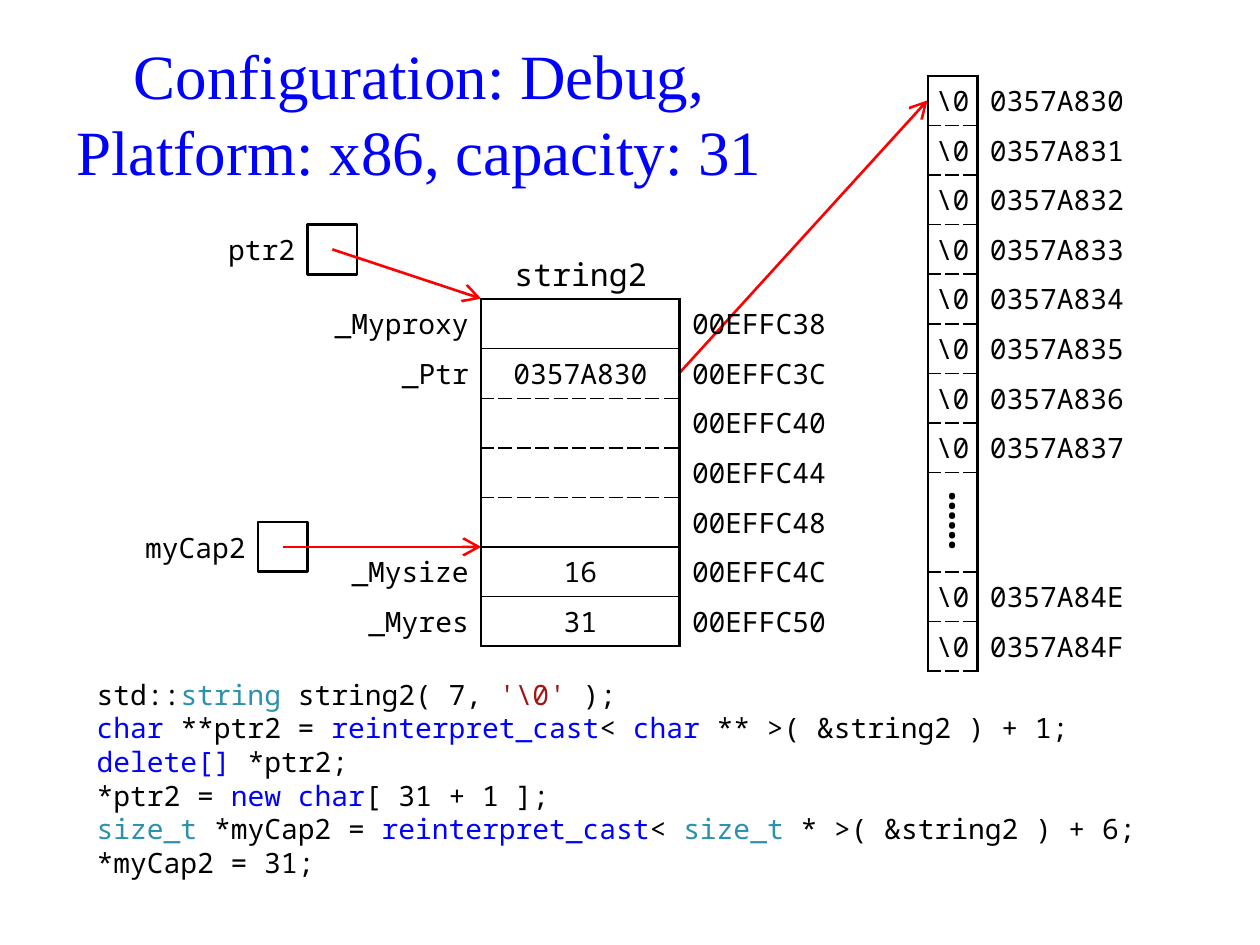
from lxml.etree import SubElement
from pptx import Presentation
from pptx.dml.color import RGBColor
from pptx.enum.shapes import MSO_CONNECTOR, MSO_SHAPE
from pptx.enum.text import MSO_ANCHOR, MSO_AUTO_SIZE, PP_ALIGN
from pptx.oxml import parse_xml
from pptx.oxml.ns import nsdecls, qn
from pptx.util import Pt

BLACK = RGBColor(0x00, 0x00, 0x00)
BLUE = RGBColor(0x00, 0x00, 0xFF)
TEAL = RGBColor(0x2B, 0x91, 0xAF)
MAROON = RGBColor(0xA3, 0x15, 0x15)
RED = RGBColor(0xFF, 0x00, 0x00)
MONO, SERIF = "Noto Sans Mono", "Times New Roman"
LEFT, CENTER, RIGHT = PP_ALIGN.LEFT, PP_ALIGN.CENTER, PP_ALIGN.RIGHT
NO_STYLE = "{2D5ABB26-0587-4C30-8999-92F81FD0307C}"
U = 28.35  # one memory cell, in points
THICK, THIN, DASH = (1.5, "solid"), (1, "solid"), (1, "sysDash")


def style(p, align, size=16, font=MONO, color=BLACK):
    p.alignment = align
    p.font.size, p.font.name = Pt(size), font
    p.font.color.rgb = color


def add_text(s, x, y, w, h, text, align, size=16):
    tf = s.shapes.add_textbox(Pt(x), Pt(y), Pt(w), Pt(h)).text_frame
    tf.word_wrap = True
    tf.vertical_anchor = MSO_ANCHOR.MIDDLE
    tf.text = text
    style(tf.paragraphs[0], align, size)
    return tf


prs = Presentation()
prs.slide_width, prs.slide_height = Pt(720), Pt(540)
s = prs.slides.add_slide(prs.slide_layouts[5])

# Title
title = s.shapes.title
title.left, title.top, title.width, title.height = Pt(34), Pt(29), Pt(411), Pt(70.5)
tf = title.text_frame
tf.text = "Configuration: Debug,\vPlatform: x86, capacity: 31"
tf.auto_size = MSO_AUTO_SIZE.NONE
tf.vertical_anchor = MSO_ANCHOR.MIDDLE
style(tf.paragraphs[0], CENTER, 36, SERIF, BLUE)

# Code listing
code = [
    [("std::", BLACK), ("string ", TEAL), ("string2( 7, ", BLACK), (r"'\0'", MAROON), (" );", BLACK)],
    [("char ", BLUE), ("**ptr2 = ", BLACK), ("reinterpret_cast", BLUE), ("< ", BLACK),
     ("char", BLUE), (" ** >( &string2 ) + 1;", BLACK)],
    [("delete[]", BLUE), (" *ptr2;", BLACK)],
    [("*ptr2 = ", BLACK), ("new char", BLUE), ("[ 31 + 1 ];", BLACK)],
    [("size_t ", TEAL), ("*myCap2 = ", BLACK), ("reinterpret_cast", BLUE), ("< ", BLACK),
     ("size_t", TEAL), (" * >( &string2 ) + 6;", BLACK)],
    [("*myCap2 = 31;", BLACK)],
]
tf = add_text(s, 48.2, 383.5, 624, 127.5, "", LEFT)
tf.vertical_anchor = MSO_ANCHOR.TOP
for i, line in enumerate(code):
    p = tf.add_paragraph() if i else tf.paragraphs[0]
    style(p, LEFT)
    p.line_spacing = Pt(19.2)
    for text, color in line:
        r = p.add_run()
        r.text = text
        r.font.color.rgb = color

# Pointer variables
for name, x, y, w in [("ptr2", 175.75, 128.4, 57), ("myCap2", 147.4, 298.4, 85)]:
    box = s.shapes.add_shape(MSO_SHAPE.RECTANGLE, Pt(x), Pt(y), Pt(U), Pt(U))
    box.shadow.inherit = False
    box.fill.background()
    box.line.color.rgb, box.line.width = BLACK, Pt(1.5)
    add_text(s, x - w, y, w, U, name, RIGHT)

# Arrows: pointer to what it points at
arrows = [(388.3, 213.1, 530, 57.4), (189.9, 142.5, 275, 170.7), (161.5, 312.5, 275, 312.5)]
for x1, y1, x2, y2 in arrows:
    c = s.shapes.add_connector(MSO_CONNECTOR.STRAIGHT, Pt(x1), Pt(y1), Pt(x2), Pt(y2))
    c.line.color.rgb, c.line.width = RED, Pt(1.5)
    SubElement(c.line._get_or_add_ln(), qn("a:tailEnd"), type="arrow", w="lg", len="lg")
    SubElement(c._element.spPr, qn("a:effectLst"))

# Memory tables: the framed column holds the bytes, the last one the addresses
buffer = [(r"\0", f"0357A83{i}") for i in range(8)]
buffer += [("⸽", ""), ("", ""), (r"\0", "0357A84E"), (r"\0", "0357A84F")]
members = [
    ("_Myproxy", "", "00EFFC38"),
    ("_Ptr", "0357A830", "00EFFC3C"),
    ("", "", "00EFFC40"),
    ("", "", "00EFFC44"),
    ("", "", "00EFFC48"),
    ("_Mysize", "16", "00EFFC4C"),
    ("_Myres", "31", "00EFFC50"),
]
member_edges = [THICK, THIN, DASH, DASH, DASH, THIN, THIN, THICK]
tables = [
    (530.2, 43.3, [1, 3.5], buffer, [THICK] + [DASH] * 12, [CENTER, LEFT]),
    (175.75, 170.9, [3.5, 4, 3.5], members, member_edges, [RIGHT, CENTER, LEFT]),
]
for x, y, widths, rows, edges, aligns in tables:
    t = s.shapes.add_table(len(rows), len(widths), Pt(x), Pt(y),
                           Pt(U * sum(widths)), Pt(U * len(rows))).table
    t.first_row = t.horz_banding = False
    t._tbl.tblPr.find(qn("a:tableStyleId")).text = NO_STYLE
    for col, w in zip(t.columns, widths):
        col.width = Pt(U * w)
    if rows is buffer:
        t.cell(8, 0).merge(t.cell(9, 0))
    for i, row in enumerate(rows):
        t.rows[i].height = Pt(U)
        for j, (text, align) in enumerate(zip(row, aligns)):
            cell = t.cell(i, j)
            framed = align == CENTER
            cell.fill.background()
            cell.vertical_anchor = MSO_ANCHOR.MIDDLE
            cell.margin_top = cell.margin_bottom = 0
            cell.margin_left = cell.margin_right = Pt(0 if framed else 7.1)
            cell.text = text
            p = cell.text_frame.paragraphs[0]
            if text == "⸽":
                style(p, align, 28, SERIF)
            else:
                style(p, align)
            if not framed or cell.is_spanned:
                continue
            sides = [("L", THICK), ("R", THICK), ("T", edges[i]), ("B", edges[i + cell.span_height])]
            for k, (side, (width, dash)) in enumerate(sides):
                cell._tc.tcPr.insert(k, parse_xml(
                    f'<a:ln{side} {nsdecls("a")} w="{Pt(width)}"><a:solidFill><a:srgbClr val="{BLACK}"/>'
                    f'</a:solidFill><a:prstDash val="{dash}"/></a:ln{side}>'))

# Object name above its members
add_text(s, 275, 142.4, 113.5, U, "string2", CENTER, 18)

prs.save("out.pptx")
